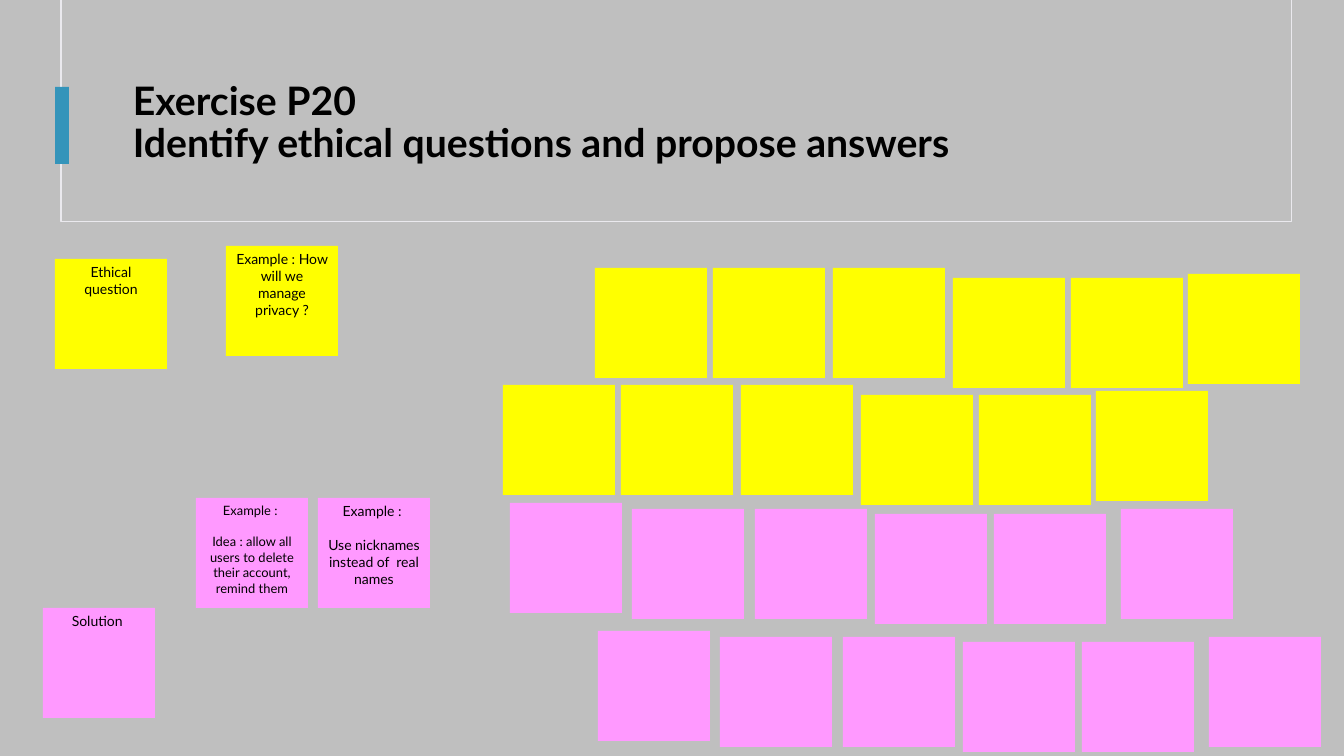
from pptx import Presentation
from pptx.dml.color import RGBColor as RGB
from pptx.enum.shapes import MSO_SHAPE as SHAPE
from pptx.enum.text import MSO_ANCHOR as ANCHOR, PP_ALIGN as ALIGN
from pptx.util import Pt

# Content: lengths in px
TITLE = ["Exercise P20", "Identify ethical questions and propose answers"]
TITLE_BOX = (123, 59, 1121, 130)
FRAME = (61, 0, 1231, 222)
ACCENT = (55, 87, 14, 77)

# Labelled notes: left, top, colour, text size, paragraphs
LABELLED = [
    (55, 259, "question", "note", ["Ethical question"]),
    (226, 246, "question", "note", ["Example : How will we manage privacy ?"]),
    (43, 608, "solution", "note", ["Solution "]),
    (196, 498, "solution", "small", [
        "Example : ", "Idea : allow all users to delete their account, remind them"]),
    (318, 498, "solution", "note", [
        "Example : ", "Use nicknames instead of  real names"]),
]

# Empty notes: each colour has one wavy row pattern, set down at two origins
ROWS = {
    "question": {
        "origins": [(595, 268), (503, 385)],
        "steps": [(0, 0), (118, 0), (238, 0), (358, 10), (476, 10), (593, 6)],
    },
    "solution": {
        "origins": [(510, 503), (598, 631)],
        "steps": [(0, 0), (122, 6), (245, 6), (365, 11), (484, 11), (611, 6)],
    },
}

THEME = {
    "font": "Lato",
    "colors": {"back": "BFBFBF", "frame": "EAE9EE", "accent": "3494BA",
               "question": "FFFF00", "solution": "FF99FF", "text": "000000"},
    "sizes": {"title": 28, "note": 10, "small": 9.2},
}
SLIDE_W, SLIDE_H = 1344, 756
NOTE_W, NOTE_H = 112, 110
EMU_PER_PX = 914400 / 100.8


def emu(*lengths):
    return [round(n * EMU_PER_PX) for n in lengths]


def color(name):
    return RGB.from_string(THEME["colors"][name])


def style(font, size, bold=False):
    values = {"name": THEME["font"], "size": Pt(THEME["sizes"][size]), "bold": bold}
    for key, value in values.items():
        setattr(font, key, value)
    font.color.rgb = color("text")


def add_rect(slide, box, fill, line=None):
    sp = slide.shapes.add_shape(SHAPE.RECTANGLE, *emu(*box))
    sp.shadow.inherit = False
    sp.fill.solid()
    sp.fill.fore_color.rgb = color(fill)
    if line:
        sp.line.color.rgb = color(line)
        sp.line.width = Pt(0.75)
    else:
        sp.line.fill.background()
    return sp


def add_note(slide, left, top, fill, size="note", texts=()):
    tf = add_rect(slide, (left, top, NOTE_W, NOTE_H), fill).text_frame
    tf.word_wrap = True
    tf.vertical_anchor = ANCHOR.TOP
    for i, text in enumerate(texts):
        p = tf.add_paragraph() if i else tf.paragraphs[0]
        p.alignment = ALIGN.CENTER
        if i:
            p.space_before = Pt(round(THEME["sizes"][size] * 1.2, 1))
        r = p.add_run()
        r.text = text
        style(r.font, size)


def add_title(slide):
    tf = slide.shapes.add_textbox(*emu(*TITLE_BOX)).text_frame
    tf.word_wrap = True
    tf.vertical_anchor = ANCHOR.MIDDLE
    p = tf.paragraphs[0]
    p.line_spacing = 0.9
    for i, text in enumerate(TITLE):
        if i:
            p.add_line_break()
        r = p.add_run()
        r.text = text
        style(r.font, "title", bold=True)


def main():
    prs = Presentation()
    prs.slide_width, prs.slide_height = emu(SLIDE_W, SLIDE_H)
    slide = prs.slides.add_slide(prs.slide_layouts[6])
    slide.background.fill.solid()
    slide.background.fill.fore_color.rgb = color("back")

    # Header
    add_rect(slide, FRAME, "back", line="frame")
    add_rect(slide, ACCENT, "accent")
    add_title(slide)

    # Notes
    for note in LABELLED:
        add_note(slide, *note)
    for fill, row in ROWS.items():
        for left, top in row["origins"]:
            for dx, dy in row["steps"]:
                add_note(slide, left + dx, top + dy, fill)

    prs.save("out.pptx")


if __name__ == "__main__":
    main()
